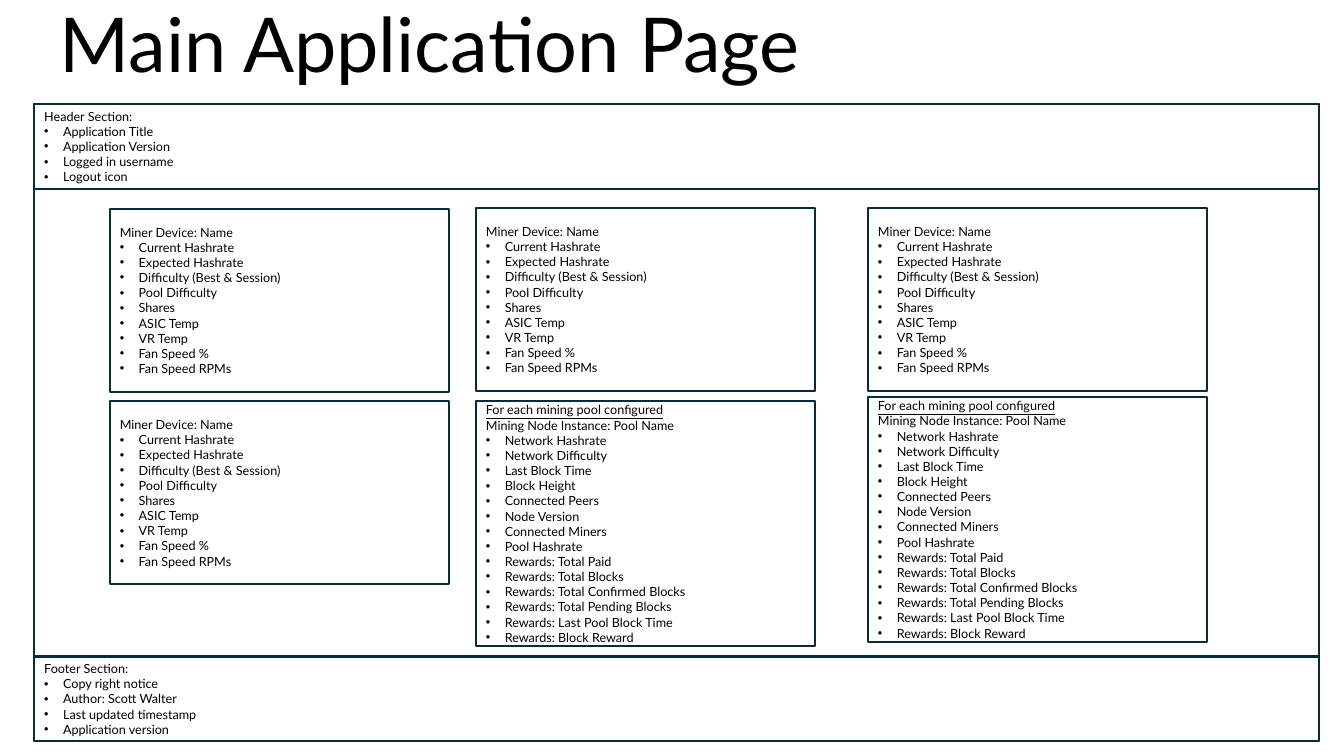
from lxml import etree
from pptx import Presentation
from pptx.dml.color import RGBColor
from pptx.enum import shapes, text
from pptx.oxml.ns import qn
from pptx.util import Pt

COLORS = {"ink": "000000", "edge": "092A39"}
FONT = "Lato"
INDENT = Pt(13.5)

HEADER = ["Application Title", "Application Version", "Logged in username", "Logout icon"]
FOOTER = ["Copy right notice", "Author: Scott Walter", "Last updated timestamp",
          "Application version"]
DEVICE = ["Current Hashrate", "Expected Hashrate", "Difficulty (Best & Session)",
          "Pool Difficulty", "Shares", "ASIC Temp", "VR Temp", "Fan Speed %",
          "Fan Speed RPMs"]
POOL = ["Network Hashrate", "Network Difficulty", "Last Block Time", "Block Height",
        "Connected Peers", "Node Version", "Connected Miners", "Pool Hashrate"]
POOL += [f"Rewards: {item}" for item in (
    "Total Paid", "Total Blocks", "Total Confirmed Blocks", "Total Pending Blocks",
    "Last Pool Block Time", "Block Reward")]


def style(par, size):
    par.font.name = FONT
    par.font.size = Pt(size)
    par.font.color.rgb = RGBColor.from_string(COLORS["ink"])


def add_panel(left, top, width, height, heads=(), items=()):
    """Add an outlined box with plain heading lines above a bulleted list."""
    box = slide.shapes.add_shape(shapes.MSO_SHAPE.RECTANGLE,
                                 Pt(left), Pt(top), Pt(width), Pt(height))
    box.shadow.inherit = False
    box.fill.background()
    box.line.color.rgb = RGBColor.from_string(COLORS["edge"])
    box.line.width = Pt(1.5)
    frame = box.text_frame
    frame.vertical_anchor = text.MSO_ANCHOR.MIDDLE
    for row, line in enumerate([*heads, *items]):
        par = frame.add_paragraph() if row else frame.paragraphs[0]
        par.text = line
        par.alignment = text.PP_ALIGN.LEFT
        style(par, 9)
        if row >= len(heads):
            props = par._p.get_or_add_pPr()
            props.set("marL", str(INDENT))
            props.set("indent", str(-INDENT))
            etree.SubElement(props, qn("a:buFont"), typeface="Arial")
            etree.SubElement(props, qn("a:buChar"), char="•")
    return box


deck = Presentation()
deck.slide_width, deck.slide_height = Pt(960), Pt(540)
slide = deck.slides.add_slide(deck.slide_layouts[5])

title = slide.shapes.title
title.left, title.top, title.width, title.height = Pt(0), Pt(0), Pt(613.5), Pt(67)
title.text = "Main Application Page"
title.text_frame.auto_size = text.MSO_AUTO_SIZE.NONE
title.text_frame.vertical_anchor = text.MSO_ANCHOR.BOTTOM
heading = title.text_frame.paragraphs[0]
heading.alignment = text.PP_ALIGN.CENTER
heading.line_spacing = 0.9
style(heading, 54)

# Page frame with its header and footer bands
LEFT, TOP, WIDTH, HEIGHT, BAND = 24.5, 74.5, 918, 455, 60.5
add_panel(LEFT, TOP, WIDTH, HEIGHT)
add_panel(LEFT, TOP, WIDTH, BAND, ["Header Section:"], HEADER)
add_panel(LEFT, TOP + HEIGHT - BAND, WIDTH, BAND, ["Footer Section:"], FOOTER)

# Cards in three columns
COLS = [78.5, 340, 620]
CARD = 242.5
for col, top in [(0, 149), (1, 148.5), (2, 148.5), (0, 286.5)]:
    add_panel(COLS[col], top, CARD, 131, ["Miner Device: Name"], DEVICE)
for col, top in [(1, 286.5), (2, 283.5)]:
    pool = add_panel(COLS[col], top, CARD, 175,
                     ["For each mining pool configured", "Mining Node Instance: Pool Name"],
                     POOL)
    pool.text_frame.paragraphs[0].font.underline = True

deck.save("out.pptx")
